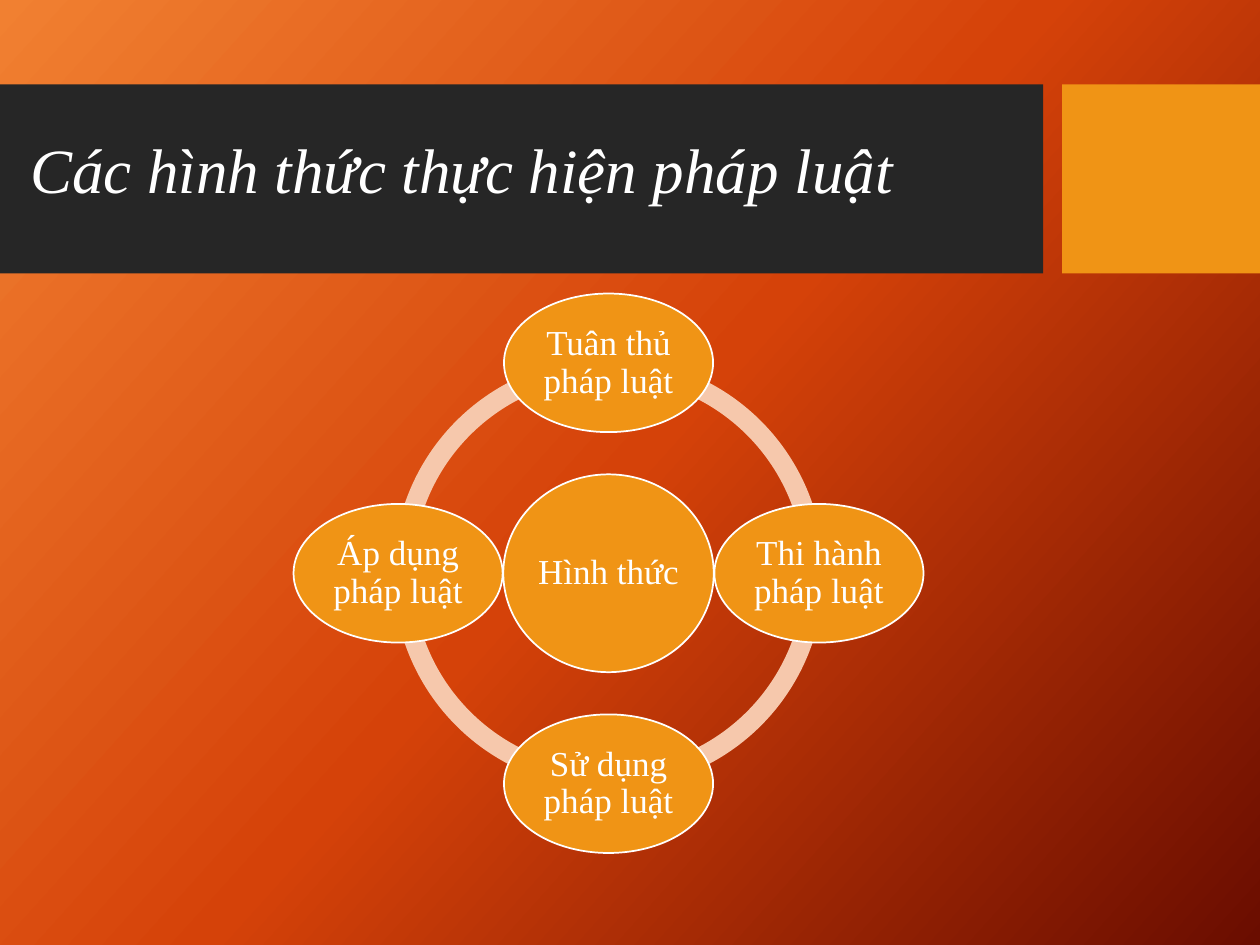
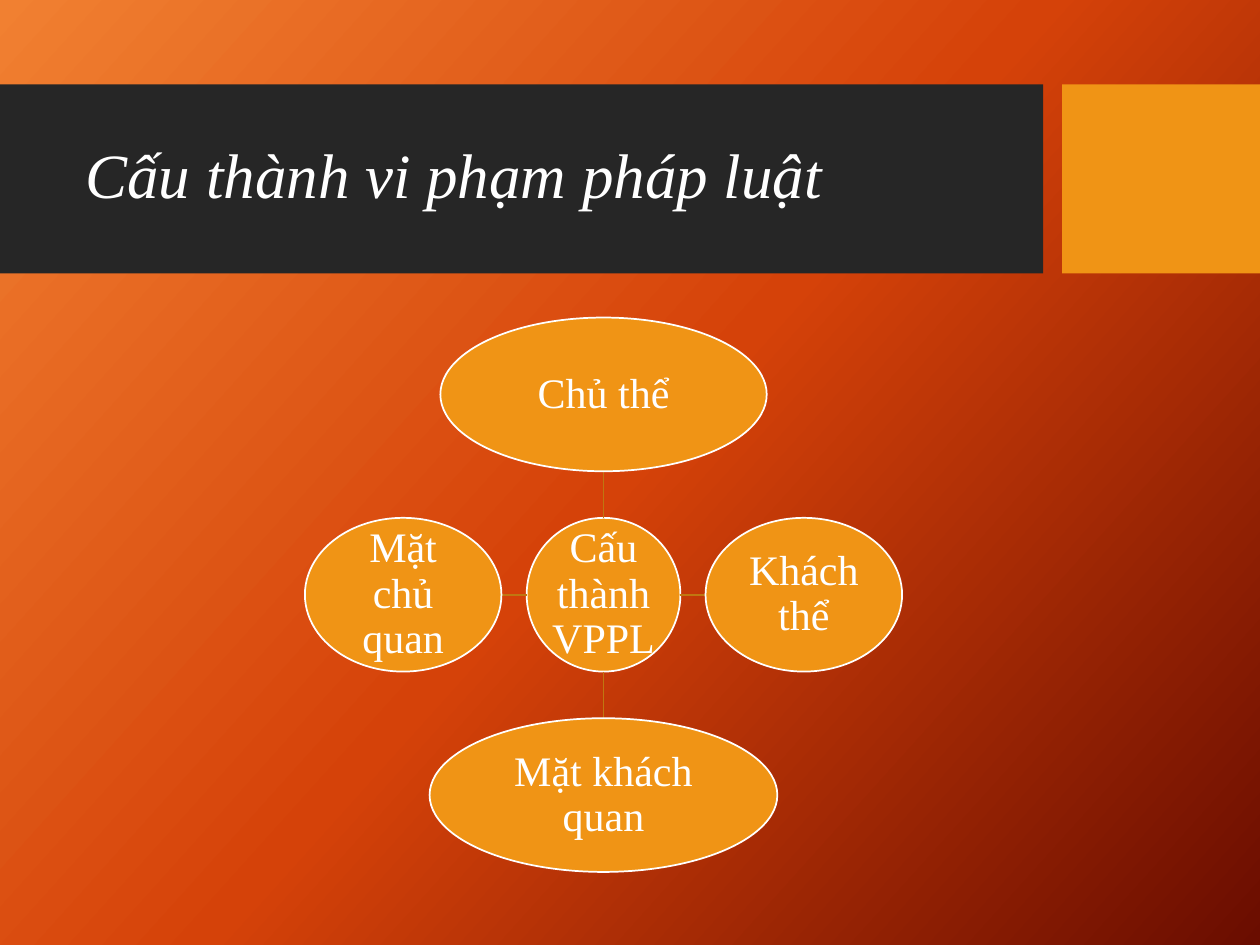
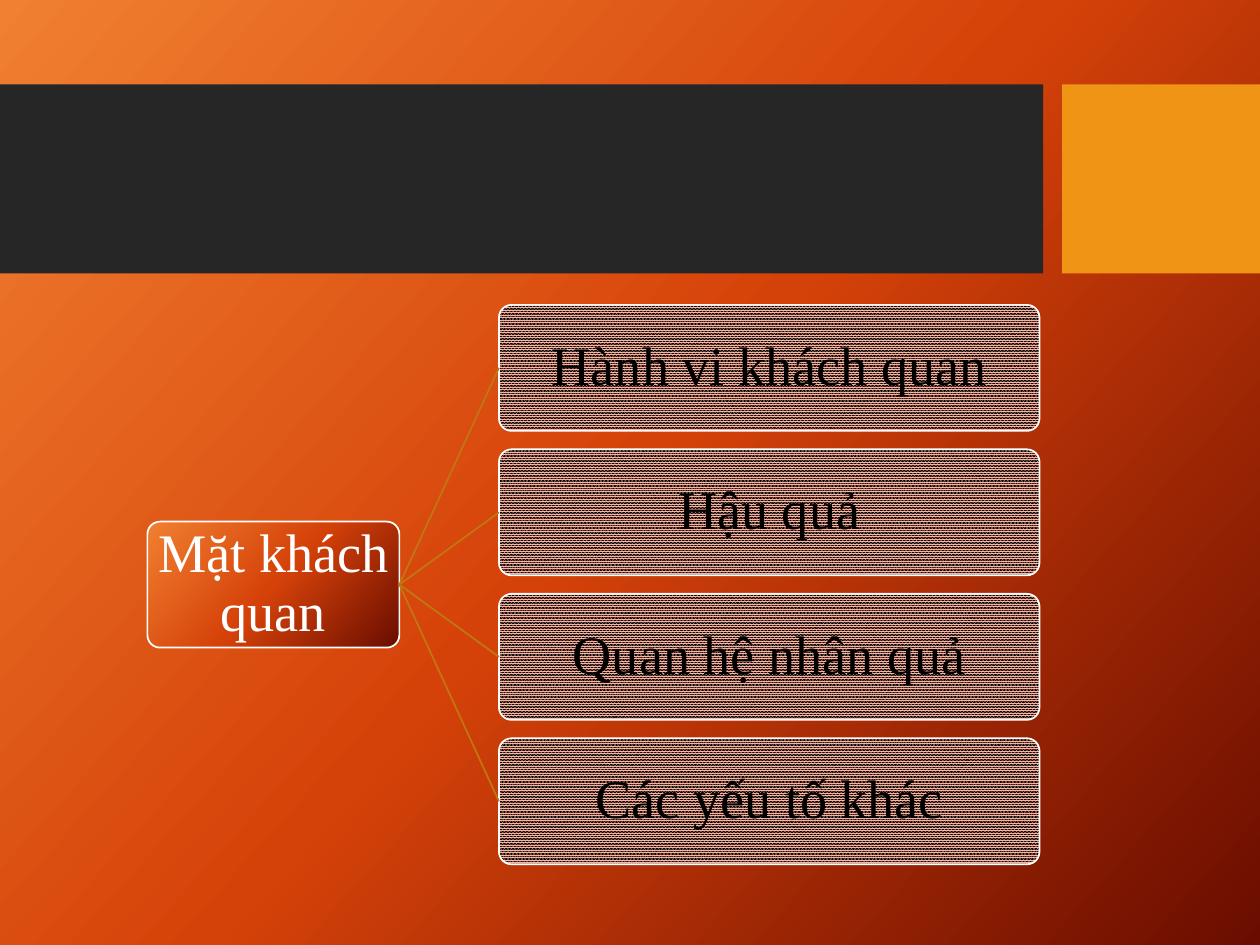
import copy
import dataclasses
import math

import lxml.etree
import pptx
import pptx.dml.color
import pptx.enum.dml
import pptx.enum.shapes
import pptx.enum.text
import pptx.oxml.ns
import pptx.util

Inches = pptx.util.Inches
SHAPES = pptx.enum.shapes.MSO_SHAPE


@dataclasses.dataclass(frozen=True)
class Theme:
    """Colours, font and type sizes shared by the slides."""

    dark: str = "262626"
    accent: str = "F09415"
    ring: str = "F6C8AC"
    link: str = "C07711"
    white: str = "FFFFFF"
    black: str = "000000"
    pattern: str = "FCB29D"
    gradient: tuple = ((0, "F18031"), (0.5, "D54209"), (1, "6A0D00"))
    gradient_angle: int = 318
    font: str = "Times New Roman"
    title_size: int = 36
    ring_size: int = 20
    radial_size: int = 24
    tree_size: int = 31
    line_width: int = 1
    line_spacing: float = 0.9


@dataclasses.dataclass(frozen=True)
class Box:
    """A rectangle in inches."""

    left: float
    top: float
    width: float
    height: float

    @property
    def center(self):
        """Return the middle point."""
        return self.left + self.width / 2, self.top + self.height / 2

    @property
    def lengths(self):
        """Return the position and size as lengths."""
        return tuple(Inches(value) for value in dataclasses.astuple(self))


THEME = Theme()
TITLE_BAND = Box(0, 0.67, 8.28, 1.5)
ACCENT_BAND = Box(8.43, 0.67, 1.57, 1.5)


def color(value):
    """Return a colour from its hexadecimal code."""
    return pptx.dml.color.RGBColor.from_string(value)


def centered(x, y, width, height):
    """Return a box around a middle point."""
    return Box(x - width / 2, y - height / 2, width, height)


def fill_gradient(fill, element):
    """Give a fill, held by the element, the theme gradient."""
    fill.gradient()
    fill.gradient_angle = THEME.gradient_angle
    stop_list = element.find(".//" + pptx.oxml.ns.qn("a:gsLst"))
    stop_list.append(copy.deepcopy(stop_list[0]))
    for stop, (position, value) in zip(fill.gradient_stops, THEME.gradient):
        stop.position = position
        stop.color.rgb = color(value)


def add_block(slide, kind, box, fill=None, outlined=False):
    """Add a preset shape with an optional solid fill and white outline."""
    shape = slide.shapes.add_shape(kind, *box.lengths)
    shape.shadow.inherit = False
    if fill:
        shape.fill.solid()
        shape.fill.fore_color.rgb = color(fill)
    if outlined:
        shape.line.color.rgb = color(THEME.white)
        shape.line.width = pptx.util.Pt(THEME.line_width)
    else:
        shape.line.fill.background()
    return shape


def write(shape, text, size, value=THEME.white, italic=False):
    """Write one vertically centred paragraph in a shape."""
    frame = shape.text_frame
    frame.word_wrap = True
    frame.vertical_anchor = pptx.enum.text.MSO_ANCHOR.MIDDLE
    paragraph = frame.paragraphs[0]
    paragraph.line_spacing = THEME.line_spacing
    run = paragraph.add_run()
    run.text = text
    run.font.name = THEME.font
    run.font.size = pptx.util.Pt(size)
    run.font.italic = italic
    run.font.color.rgb = color(value)
    return paragraph


def write_label(shape, text, size, inset, value=THEME.white):
    """Write a centred label with narrow margins."""
    frame = shape.text_frame
    frame.margin_left = frame.margin_right = Inches(inset)
    frame.margin_top = frame.margin_bottom = Inches(inset)
    paragraph = write(shape, text, size, value)
    paragraph.alignment = pptx.enum.text.PP_ALIGN.CENTER


def add_link(slide, start, end):
    """Add a straight link between two points."""
    points = [Inches(value) for value in (*start, *end)]
    connector = slide.shapes.add_connector(
        pptx.enum.shapes.MSO_CONNECTOR.STRAIGHT, *points)
    connector.line.color.rgb = color(THEME.link)
    connector.line.width = pptx.util.Pt(THEME.line_width)
    lxml.etree.SubElement(connector._element.spPr, pptx.oxml.ns.qn("a:effectLst"))
    return connector


def add_base_slide(presentation, title=None, title_box=None):
    """Add a slide with its background, bands and optional title."""
    slide = presentation.slides.add_slide(presentation.slide_layouts[6])
    fill_gradient(slide.background.fill, slide._element)
    add_block(slide, SHAPES.RECTANGLE, TITLE_BAND, THEME.dark)
    add_block(slide, SHAPES.RECTANGLE, ACCENT_BAND, THEME.accent)
    if title:
        text_box = slide.shapes.add_textbox(*title_box.lengths)
        write(text_box, title, THEME.title_size, italic=True)
    return slide


def add_ring(slide, box, diameter):
    """Add four quarter arcs around the middle of the box."""
    quarter = 54
    for index in range(4):
        arc = add_block(slide, SHAPES.BLOCK_ARC,
                        centered(*box.center, diameter, diameter), THEME.ring)
        arc.adjustments[0] = index * quarter
        arc.adjustments[1] = (index + 1) % 4 * quarter
        arc.adjustments[2] = 0.046


def add_radial(slide, box, hub, nodes, distance, size, inset, linked=False):
    """Add a hub and its nodes clockwise from the top of the box."""
    x, y = box.center

    def add_oval(label, width, height, center):
        """Add one labelled oval around a point."""
        oval = add_block(slide, SHAPES.OVAL, centered(*center, width, height),
                         THEME.accent, outlined=True)
        write_label(oval, label, size, inset)

    add_oval(*hub, box.center)
    for index, (label, width, height) in enumerate(nodes):
        angle = math.tau * index / len(nodes)
        across, down = round(math.sin(angle)), -round(math.cos(angle))
        node_x, node_y = x + across * distance, y + down * distance
        if linked:
            add_link(slide,
                     (x + across * hub[1] / 2, y + down * hub[2] / 2),
                     (node_x - across * width / 2, node_y - down * height / 2))
        add_oval(label, width, height, (node_x, node_y))


def add_tree(slide, box, root_label, leaf_labels):
    """Add a root at the left of the box, linked to a column of leaves."""
    root_width, leaf_width, height, inset = 2, 4.29, 1, 0.02
    pitch = (box.height - height) / (len(leaf_labels) - 1)

    def add_card(label, card_box, value):
        """Add one labelled rounded card."""
        card = add_block(slide, SHAPES.ROUNDED_RECTANGLE, card_box, outlined=True)
        card.adjustments[0] = 0.1
        write_label(card, label, THEME.tree_size, inset, value)
        return card

    root_top = box.center[1] - height / 2
    root = add_card(root_label, Box(box.left, root_top, root_width, height), THEME.white)
    fill_gradient(root.fill, root._element)
    leaf_left = box.left + box.width - leaf_width
    for index, label in enumerate(leaf_labels):
        leaf_box = Box(leaf_left, box.top + index * pitch, leaf_width, height)
        leaf = add_card(label, leaf_box, THEME.black)
        leaf.fill.patterned()
        leaf.fill.pattern = pptx.enum.dml.MSO_PATTERN.PERCENT_90
        leaf.fill.fore_color.rgb = color(THEME.pattern)
        leaf.fill.back_color.rgb = color(THEME.black)
        link = add_link(slide, (box.left + root_width, box.center[1]),
                        (leaf_left, leaf_box.center[1]))
        link.begin_connect(root, 3)
        link.end_connect(leaf, 1)


def build_forms_slide(presentation):
    """Build the slide on the forms of implementing the law."""
    slide = add_base_slide(presentation, "Các hình thức thực hiện pháp luật",
                           Box(0.14, 0.75, 8.42, 1.25))
    box = Box(2.33, 2.33, 5, 4.44)
    labels = ("Tuân thủ pháp luật", "Thi hành pháp luật",
              "Sử dụng pháp luật", "Áp dụng pháp luật")
    add_ring(slide, box, 3.42)
    add_radial(slide, box, ("Hình thức", 1.67, 1.57),
               [(label, 1.66, 1.1) for label in labels],
               1.67, THEME.ring_size, 0.03)


def build_elements_slide(presentation):
    """Build the slide on the elements of a violation."""
    slide = add_base_slide(presentation, "Cấu thành vi phạm pháp luật",
                           Box(0.58, 0.82, 7.54, 1.18))
    height = 1.22
    nodes = (("Chủ thể", 2.59, height), ("Khách thể", 1.56, height),
             ("Mặt khách quan", 2.76, height), ("Mặt chủ quan", 1.56, height))
    add_radial(slide, Box(2.42, 2.52, 4.74, 4.4),
               ("Cấu thành VPPL", height, height), nodes,
               1.59, THEME.radial_size, 0.02, linked=True)


def build_objective_slide(presentation):
    """Build the slide on the objective side."""
    slide = add_base_slide(presentation)
    add_tree(slide, Box(1.17, 2.42, 7.08, 4.44), "Mặt khách quan",
             ("Hành vi khách quan", "Hậu quả", "Quan hệ nhân quả", "Các yếu tố khác"))


def main():
    """Build and save the presentation."""
    presentation = pptx.Presentation()
    presentation.slide_width = Inches(10)
    presentation.slide_height = Inches(7.5)
    build_forms_slide(presentation)
    build_elements_slide(presentation)
    build_objective_slide(presentation)
    presentation.save("out.pptx")


if __name__ == "__main__":
    main()
